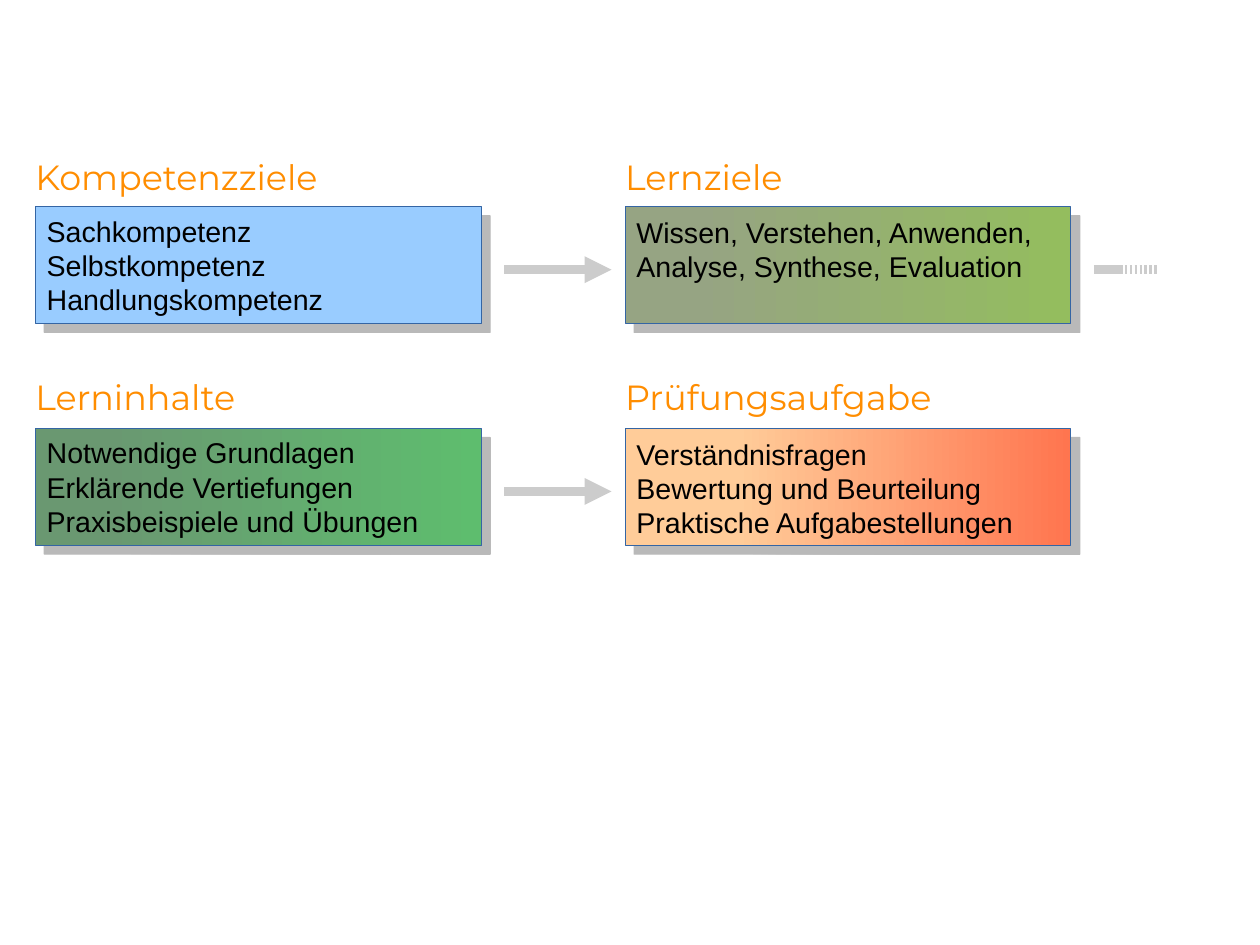
from lxml import etree
from pptx import Presentation
from pptx.dml.color import RGBColor
from pptx.enum.shapes import MSO_CONNECTOR as Line, MSO_SHAPE as Shape
from pptx.oxml import parse_xml
from pptx.oxml.ns import nsdecls, qn
from pptx.util import Inches, Pt


def rgb(code):
    return RGBColor.from_string(code)


def write(left, top, width, height, lines, font, size, color, pad):
    frame = slide.shapes.add_textbox(
        Inches(left), Inches(top), Inches(width), Inches(height)).text_frame
    frame.word_wrap = True
    frame.margin_left = frame.margin_right = Inches(pad)
    frame.margin_top = frame.margin_bottom = Inches(pad / 2)
    frame.text = "\n".join(lines)
    for para in frame.paragraphs:
        para.font.name = font
        para.font.size = Pt(size)
        para.font.color.rgb = rgb(color)


SHADOW = f"""<a:effectLst {nsdecls('a')}>
<a:outerShdw blurRad="0" dist="{Pt(8)}" dir="2700000" algn="tl" rotWithShape="0">
<a:srgbClr val="808080"><a:alpha val="55000"/></a:srgbClr>
</a:outerShdw></a:effectLst>"""
DASH = f'<a:custDash {nsdecls("a")}><a:ds d="27000" sp="27000"/></a:custDash>'
HEAD = f'<a:tailEnd {nsdecls("a")} type="triangle"/>'

cols = [(0.31, 2.78, 3.62, 0.94, 0.01), (5.47, 3.03, 3.94, 0.62, 0.02)]
rows = [(1.36, 1.81), (3.29, 3.75)]
cards = [
    (0, 0, "Kompetenzziele", [(0, "99CCFF")],
     ["Sachkompetenz", "Selbstkompetenz", "Handlungskompetenz"]),
    (0, 1, "Lernziele", [(0.15, "96A483"), (1, "94BD5E")],
     ["Wissen, Verstehen, Anwenden, Analyse, Synthese, Evaluation"]),
    (1, 0, "Lerninhalte", [(0.15, "6A9871"), (1, "5EBD6E")],
     ["Notwendige Grundlagen", "Erklärende Vertiefungen",
      "Praxisbeispiele und Übungen"]),
    (1, 1, "Prüfungsaufgabe", [(0.25, "FFCC99"), (1, "FF754F")],
     ["Verständnisfragen", "Bewertung und Beurteilung",
      "Praktische Aufgabestellungen"]),
]
links = [
    (4.41, 5.35, 2.36, HEAD),
    (9.57, 9.8, 2.36, None),
    (9.8, 10.12, 2.36, DASH),
    (4.41, 5.35, 4.3, HEAD),
]

deck = Presentation()
deck.slide_width = Inches(28 / 2.54)
deck.slide_height = Inches(21 / 2.54)
slide = deck.slides.add_slide(deck.slide_layouts[6])

for row, col, title, stops, lines in cards:
    left, wide, width, height, drop = cols[col]
    head, top = rows[row]
    card = slide.shapes.add_shape(
        Shape.RECTANGLE, Inches(left), Inches(top), Inches(3.9), Inches(1.02))
    if len(stops) == 1:
        card.fill.solid()
        card.fill.fore_color.rgb = rgb(stops[0][1])
    else:
        card.fill.gradient()
        card.fill.gradient_angle = 0
        for stop, (place, color) in zip(card.fill.gradient_stops, stops):
            stop.position = place
            stop.color.rgb = rgb(color)
    card.line.color.rgb = rgb("3465A4")
    card.line.width = Pt(0)
    card._element.spPr.append(parse_xml(SHADOW))
    write(left, top + drop, width, height, lines, "Arial", 18, "000000", 0.1)
    write(left, head, wide, 0.43, [title], "Montserrat", 22, "FF8D00", 0)

for start, end, level, extra in links:
    link = slide.shapes.add_connector(
        Line.STRAIGHT, Inches(start), Inches(level), Inches(end), Inches(level))
    link.line.color.rgb = rgb("CCCCCC")
    link.line.width = Pt(5.67)
    props = link._element.spPr
    if extra:
        props.find(qn("a:ln")).append(parse_xml(extra))
    etree.SubElement(props, qn("a:effectLst"))

deck.save("out.pptx")
